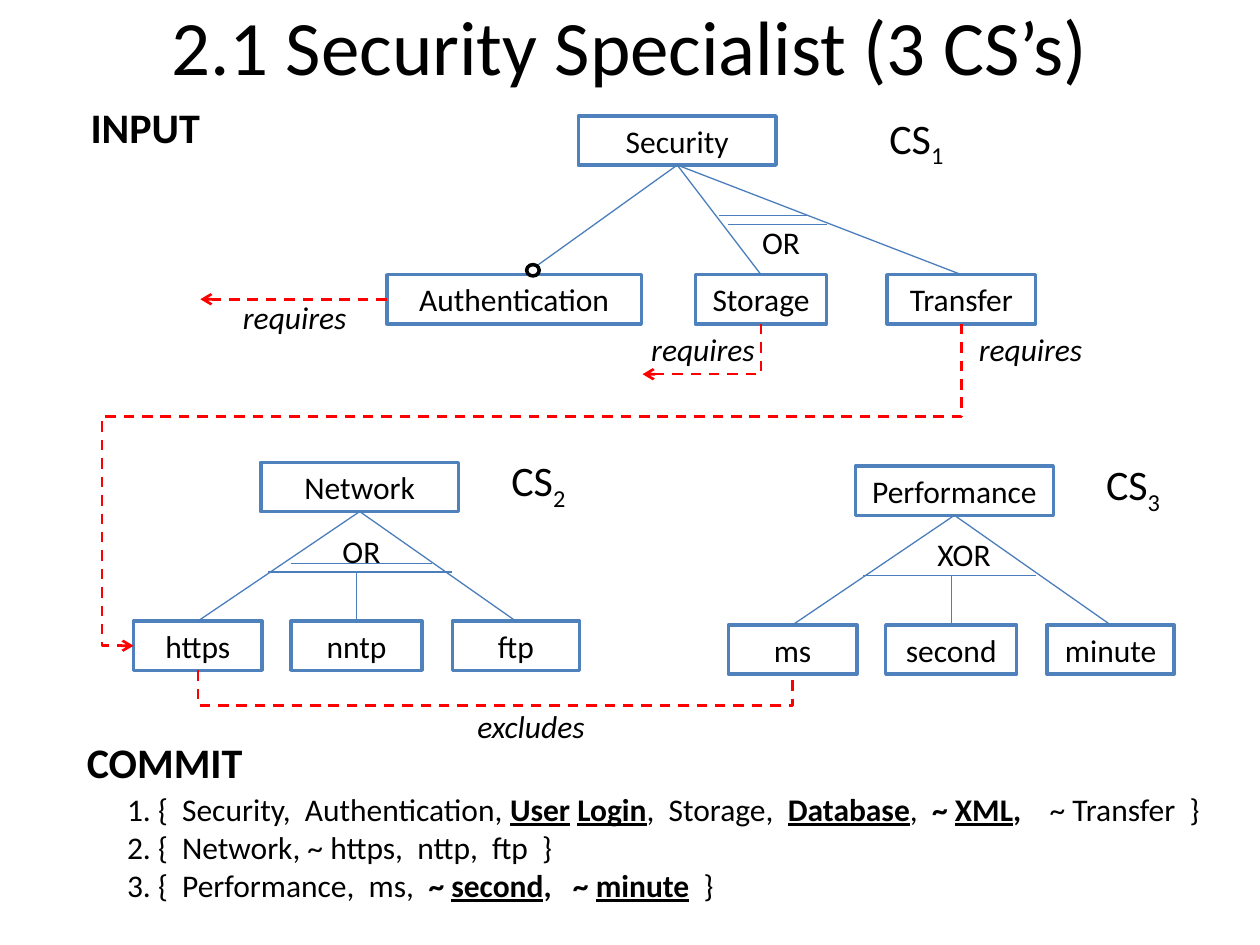
from lxml import etree
from pptx import Presentation, util as u
from pptx.dml.color import RGBColor
from pptx.enum import dml, shapes, text
from pptx.oxml.ns import qn

COLORS = {"ink": "000000", "paper": "FFFFFF", "border": "4F81BD",
          "branch": "4B7EBC", "relation": "FF0000"}
FONT = "Calibri"
NODE_HEIGHT = 0.39
TOP_SITE, LEFT_SITE, BOTTOM_SITE = 0, 1, 2


def rgb(name):
    """Return the named colour."""
    return RGBColor.from_string(COLORS[name])


def style_runs(paragraph, styles, size):
    """Format runs by style letters: bold, italic, underline, subscript."""
    for run, style in zip(paragraph.runs, styles):
        font = run.font
        font.name, font.size, font.color.rgb = FONT, u.Pt(size), rgb("ink")
        font.bold, font.italic, font.underline = (key in style for key in "biu")
        if "s" in style:
            run._r.get_or_add_rPr().set("baseline", "-25000")


def add_text(slide, left, top, width, height, lines, size=18):
    """Add an unwrapped text box from lines of (text, style) runs."""
    frame = slide.shapes.add_textbox(*map(u.Inches, (left, top, width, height))).text_frame
    frame.word_wrap = False
    frame.auto_size = text.MSO_AUTO_SIZE.SHAPE_TO_FIT_TEXT
    for index, line in enumerate(lines):
        paragraph = frame.add_paragraph() if index else frame.paragraphs[0]
        for wording, _ in line:
            paragraph.add_run().text = wording
        style_runs(paragraph, [style for _, style in line], size)


def add_outline(slide, kind, left, top, width, height, border):
    """Add a white preset shape with a coloured border."""
    shape = slide.shapes.add_shape(kind, *map(u.Inches, (left, top, width, height)))
    shape.shadow.inherit = False
    shape.fill.solid()
    shape.fill.fore_color.rgb = rgb("paper")
    shape.line.color.rgb, shape.line.width = rgb(border), u.Pt(2)
    return shape


def add_node(slide, left, top, width, name):
    """Add a labelled feature rectangle."""
    node = add_outline(slide, shapes.MSO_SHAPE.RECTANGLE, left, top, width, NODE_HEIGHT, "border")
    node.text_frame.text = name
    node.text_frame.vertical_anchor = text.MSO_ANCHOR.MIDDLE
    paragraph = node.text_frame.paragraphs[0]
    paragraph.alignment = text.PP_ALIGN.CENTER
    style_runs(paragraph, [""], 18)
    return node


def add_line(slide, start, end, kind=shapes.MSO_CONNECTOR.STRAIGHT):
    """Add a thin branch connector between two points."""
    line = slide.shapes.add_connector(kind, *map(u.Inches, (*start, *end)))
    line.line.color.rgb, line.line.width = rgb("branch"), u.Pt(0.75)
    etree.SubElement(line._element.spPr, qn("a:effectLst"))
    return line


def make_relation(line, arrow=True):
    """Turn a connector into a dashed red relation."""
    line.line.color.rgb, line.line.width = rgb("relation"), u.Pt(1.5)
    line.line.dash_style = dml.MSO_LINE.DASH
    if arrow:
        etree.SubElement(line.line._get_or_add_ln(), qn("a:tailEnd"), type="arrow")


def add_elbow(slide, start, end, preset, rotation, adjustments=(), flip=False, arrow=True):
    """Add a quarter-turned bent relation running from start to end."""
    width, height = abs(end[1] - start[1]), abs(end[0] - start[0])
    left = (start[0] + end[0] - width) / 2
    top = (start[1] + end[1] - height) / 2
    near, far = (left + width, left) if flip else (left, left + width)
    elbow = add_line(slide, (near, top), (far, top + height), shapes.MSO_CONNECTOR.ELBOW)
    properties = elbow._element.spPr
    properties.find(qn("a:xfrm")).set("rot", str(rotation * 60000))
    geometry = properties.find(qn("a:prstGeom"))
    geometry.set("prst", preset)
    guides = geometry.find(qn("a:avLst"))
    for number, share in enumerate(adjustments, 1):
        etree.SubElement(guides, qn("a:gd"), name=f"adj{number}",
                         fmla=f"val {round(share * 100000)}")
    make_relation(elbow, arrow)


def add_tree(slide, left, top, root, children, bars, operator, group):
    """Draw a feature tree with all parts offset from its left and top."""
    root_name, root_x = root
    parent = add_node(slide, left + root_x, top, 1.57, root_name)
    nodes = {}
    for name, x, width, branch in children:
        child = nodes[name] = add_node(slide, left + x, top + 1.26, width, name)
        middle = left + x + width / 2
        edge = add_line(slide, (middle, top + 0.87), (middle, top + 1.26))
        if branch != "stem":
            edge.begin_connect(parent, BOTTOM_SITE)
        if branch == "optional":
            edge.end_x, edge.end_y = u.Inches(left + 1.19), u.Inches(top + 1.19)
            add_outline(slide, shapes.MSO_SHAPE.OVAL, left + 1.11, top + 1.18, 0.1, 0.09, "ink")
        else:
            edge.end_connect(child, TOP_SITE)
    for begin, finish, y in bars:
        add_line(slide, (left + begin, top + y), (left + finish, top + y))
    name, x, y = operator
    add_text(slide, left + x, top + y, 0.19 * len(name) + 0.12, 0.4, [[(name, "")]])
    number, x, y = group
    add_text(slide, left + x, top + y, 0.65, 0.5, [[("CS", ""), (number, "s")]], 24)
    return nodes


def side(node, place):
    """Return the middle of a node's left or bottom side in inches."""
    if place == "left":
        return node.left.inches, (node.top + node.height / 2) / u.Inches(1)
    return (node.left + node.width / 2) / u.Inches(1), (node.top + node.height) / u.Inches(1)


def add_relations(slide, nodes):
    """Draw the requires and excludes relations between the nodes."""
    x, y = side(nodes["Authentication"], "left")
    outside = add_line(slide, (x, y), (x - 1.48, y))
    outside.begin_connect(nodes["Authentication"], LEFT_SITE)
    make_relation(outside)
    x, y = side(nodes["Storage"], "bottom")
    add_elbow(slide, (x, y), (x - 0.94, y + 0.4), "bentConnector2", 90)
    add_elbow(slide, side(nodes["Transfer"], "bottom"), side(nodes["https"], "left"),
              "bentConnector4", 90, (0.289, 1.038))
    add_elbow(slide, side(nodes["https"], "bottom"), side(nodes["ms"], "bottom"),
              "bentConnector3", 270, (9.3,), flip=True, arrow=False)
    for name, left, top in [("requires", 1.83, 2.32), ("requires", 5.07, 2.57),
                            ("requires", 7.67, 2.57), ("excludes", 3.69, 5.56)]:
        add_text(slide, left, top, 1.05, 0.4, [[(name, "i")]])


def add_commit(slide, left, top):
    """Write the commit heading and its three feature sets."""
    add_text(slide, left, top, 1.45, 0.5, [[("COMMIT", "b")]], 24)
    add_text(slide, left + 0.32, top + 0.42, 8.82, 1.01, [
        [("1. {  Security,  Authentication, ", ""), ("User", "bu"), (" ", "b"),
         ("Login", "bu"), (",  Storage,  ", ""), ("Database", "bu"), (",  ", ""),
         ("~ ", "b"), ("XML", "bu"), (",    ", "b"), ("~ Transfer  }", "")],
        [("2. {  Network, ~ https,  nttp,  ftp  }", "")],
        [("3. {  Performance,  ms,  ", ""), ("~ ", "b"), ("second", "bu"),
         (",   ~ ", "b"), ("minute", "bu"), ("  ", "b"), ("}", "")]])


def add_title(slide, left, top, width, height):
    """Place and format the slide title."""
    title = slide.shapes.title
    title.left, title.top, title.width, title.height = map(u.Inches, (left, top, width, height))
    title.text_frame.text = "2.1 Security Specialist (3 CS’s)"
    title.text_frame.vertical_anchor = text.MSO_ANCHOR.MIDDLE
    title.text_frame.paragraphs[0].alignment = text.PP_ALIGN.CENTER
    style_runs(title.text_frame.paragraphs[0], [""], 44)


def main():
    """Build and save the slide."""
    deck = Presentation()
    deck.slide_width, deck.slide_height = u.Inches(10), u.Inches(7.5)
    slide = deck.slides.add_slide(deck.slide_layouts[5])
    add_title(slide, 0.5, -0.27, 9, 1.25)
    add_text(slide, 0.62, 0.76, 1.08, 0.5, [[("INPUT", "b")]], 24)
    nodes = add_tree(slide, 3.07, 0.92, ("Security", 1.52),
                     [("Authentication", 0, 2.02, "optional"),
                      ("Storage", 2.45, 1.04, "root"), ("Transfer", 3.97, 1.18, "root")],
                     [(2.64, 3.34, 0.79), (2.71, 3.49, 0.86)],
                     ("OR", 2.88, 0.8), ("1", 3.89, -0.08))
    lower_trees = [
        (1.06, 3.67, "Network", ("https", "nntp", "ftp"),
         [(1.25, 2.37, 0.8), (1.07, 2.53, 0.87)], "OR", "2"),
        (5.78, 3.7, "Performance", ("ms", "second", "minute"),
         [(1.07, 2.44, 0.87)], "XOR", "3")]
    for left, top, root, names, bars, operator, number in lower_trees:
        children = zip(names, (0, 1.25, 2.53), (1.02, 1.04, 1.01), ("root", "stem", "root"))
        nodes.update(add_tree(slide, left, top, (root, 1.01), children, bars,
                              (operator, 1.56, 0.5), (number, 2.9, -0.11)))
    add_relations(slide, nodes)
    add_commit(slide, 0.59, 5.8)
    deck.save("out.pptx")


if __name__ == "__main__":
    main()
